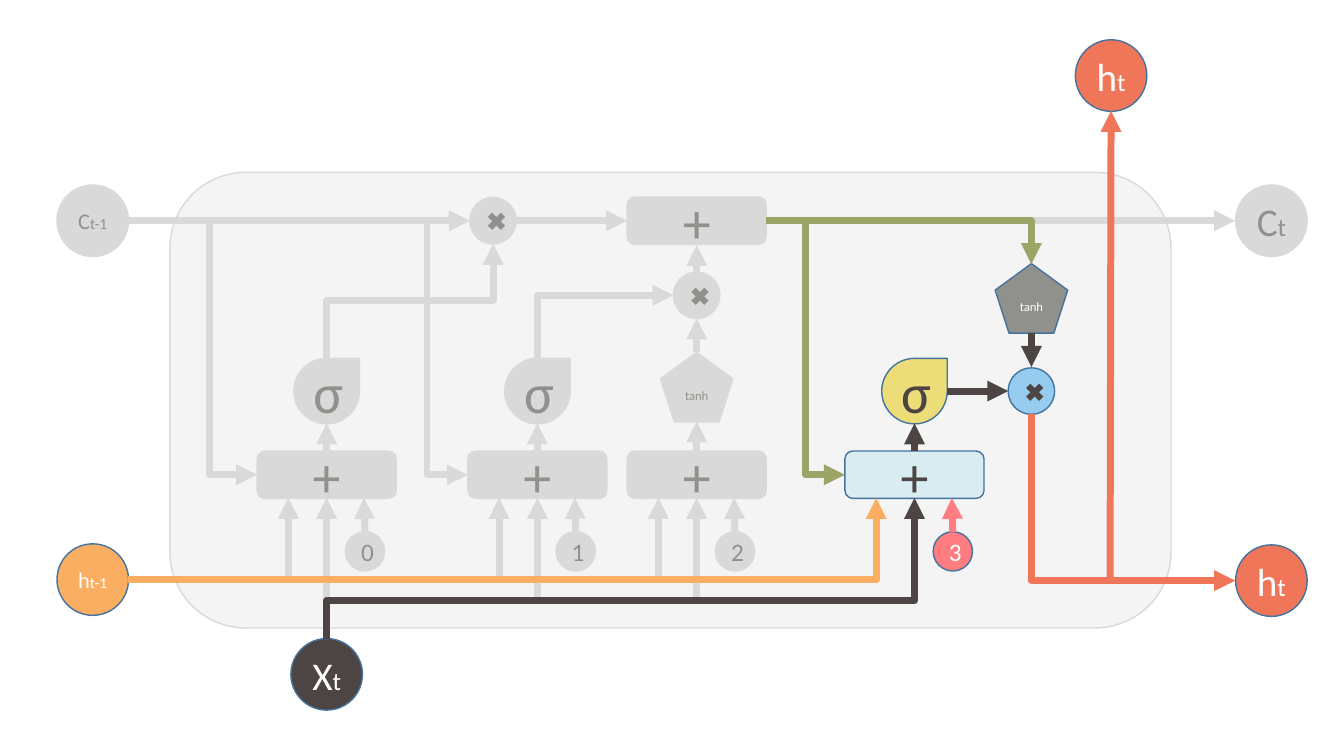
from pptx import Presentation
from pptx.dml.color import RGBColor
from pptx.enum.shapes import MSO_CONNECTOR, MSO_SHAPE
from pptx.enum.text import MSO_ANCHOR, PP_ALIGN
from pptx.oxml.ns import qn
from pptx.util import Inches, Pt
from lxml import etree

CIRCLE = MSO_SHAPE.OVAL
BOX = MSO_SHAPE.ROUNDED_RECTANGLE
TEAR = MSO_SHAPE.TEAR
PENTAGON = MSO_SHAPE.REGULAR_PENTAGON
STRAIGHT = MSO_CONNECTOR.STRAIGHT
ELBOW = MSO_CONNECTOR.ELBOW
CENTER = PP_ALIGN.CENTER
MIDDLE = MSO_ANCHOR.MIDDLE

FONT = "Calibri"
GRAY, GRAY_TEXT, BLUE_EDGE, WHITE = "D9D9D9", "90918C", "43739E", "FFFFFF"
DARK, ORANGE, RED, GREEN, PINK = "4D4543", "F9AE62", "F07659", "9BA568", "FF7C80"

# Grid of the cell, in inches: column centres, row centres and element sizes
FORGET, INPUT, CANDIDATE, OUTPUT = GATES = (3.24, 5.33, 6.91, 9.07)
LEFT, RESULT, TOP_OUT, RIGHT = 0.92, 10.23, 11.02, 12.61
STATE, MERGE, ACTIVATION, GATE_ROW, BIAS, HIDDEN, X_ROW = (
    2.19, 2.93, 3.88, 4.71, 5.47, 5.75, 6.69)
STATE_SIZE, OPERATOR_SIZE, BIAS_SIZE = (0.71, 0.71), (0.46, 0.46), (0.39, 0.39)
GATE_SIZE, TEAR_SIZE, TANH_SIZE = (1.38, 0.47), (0.65, 0.65), (0.72, 0.69)
GATE_TOP, GATE_BOTTOM = 4.47, 4.94
STATE_RIGHT, X_TOP, OUT_LEFT = 1.27, 6.34, 12.25
SIDE = 0.38  # distance of the hidden and bias inputs from a gate's centre


def color(hex_text):
    """Turn a hex string into a colour."""
    return RGBColor.from_string(hex_text)


def node(page, kind, center, size, fill, edge, spans=(), text_color=WHITE):
    """Add a shape around its centre; spans are (text, points) pairs."""
    (x, y), (width, height) = center, size
    shape = page.shapes.add_shape(kind, Inches(x - width / 2), Inches(y - height / 2),
                                  Inches(width), Inches(height))
    shape.shadow.inherit = False
    shape.fill.solid()
    shape.fill.fore_color.rgb = color(fill)
    shape.line.color.rgb = color(edge)
    shape.line.width = Pt(1)
    shape.text_frame.vertical_anchor = MIDDLE
    para = shape.text_frame.paragraphs[0]
    para.alignment = CENTER
    for text, points in spans:
        span = para.add_run()
        span.text = text
        span.font.size = Pt(points)
        span.font.name = FONT
        span.font.color.rgb = color(text_color)


def gray_node(page, kind, center, size, spans):
    """Add a node of the inactive part."""
    node(page, kind, center, size, GRAY, GRAY, spans, GRAY_TEXT)


def add_arrow(page, kind, start, end, line_color):
    """Add a thick connector with a triangle at its end."""
    points = [Inches(value) for value in (*start, *end)]
    connector = page.shapes.add_connector(kind, *points)
    connector.line.color.rgb = color(line_color)
    connector.line.width = Pt(5)
    properties = connector._element.spPr
    etree.SubElement(properties.find(qn("a:ln")), qn("a:tailEnd"), type="triangle")
    etree.SubElement(properties, qn("a:effectLst"))
    return properties


def arrow(page, start, end, line_color=GRAY):
    """Add a straight arrow."""
    add_arrow(page, STRAIGHT, start, end, line_color)


def elbow(page, start, end, line_color=GRAY, bend=None, upright=False):
    """Add an elbow arrow with one corner, or two at the share bend.

    An upright one leaves vertically: its box is laid flat, then turned by 90 degrees.
    """
    if upright:
        middle_x, middle_y = (start[0] + end[0]) / 2, (start[1] + end[1]) / 2
        half_x, half_y = (end[0] - start[0]) / 2, (end[1] - start[1]) / 2
        start = (middle_x - half_y, middle_y + half_x)
        end = (middle_x + half_y, middle_y - half_x)
    properties = add_arrow(page, ELBOW, start, end, line_color)
    if upright:
        properties.find(qn("a:xfrm")).set("rot", str(90 * 60000))
    geometry = properties.find(qn("a:prstGeom"))
    if bend is None:
        geometry.set("prst", "bentConnector2")
    else:
        etree.SubElement(geometry.find(qn("a:avLst")), qn("a:gd"),
                         name="adj1", fmla=f"val {round(bend * 100000)}")


def add_gates(page):
    """Add the four gates with their biases and activations."""
    plus, sigma, tanh = [("+", 40)], [("σ", 40)], [("tanh", 9)]
    for number, x in enumerate(GATES):
        gate, bias = (x, GATE_ROW), (x + SIDE, BIAS)
        label = [(str(number), 18)]
        if x == OUTPUT:
            node(page, BOX, gate, GATE_SIZE, "D9ECF2", BLUE_EDGE, plus, DARK)
            node(page, CIRCLE, bias, BIAS_SIZE, PINK, BLUE_EDGE, label)
        else:
            gray_node(page, BOX, gate, GATE_SIZE, plus)
            gray_node(page, CIRCLE, bias, BIAS_SIZE, label)
    for x in (FORGET, INPUT):
        gray_node(page, TEAR, (x, ACTIVATION), TEAR_SIZE, sigma)
    node(page, TEAR, (OUTPUT, ACTIVATION), TEAR_SIZE, "EDDD78", BLUE_EDGE, sigma, DARK)
    gray_node(page, PENTAGON, (CANDIDATE, 3.84), TANH_SIZE, tanh)
    node(page, PENTAGON, (RESULT, 2.96), TANH_SIZE, GRAY_TEXT, BLUE_EDGE, tanh)


def add_states(page):
    """Add the inputs, the outputs and the operators on the state lines."""
    for center, letter in (((RIGHT, HIDDEN + 0.01), "h"), ((TOP_OUT, 0.75), "h")):
        node(page, CIRCLE, center, STATE_SIZE, RED, BLUE_EDGE, [(letter, 28), ("t", 18)])
    node(page, CIRCLE, (FORGET, X_ROW), STATE_SIZE, DARK, BLUE_EDGE, [("X", 28), ("t", 18)])
    node(page, CIRCLE, (LEFT, HIDDEN), STATE_SIZE, ORANGE, BLUE_EDGE,
         [("h", 16), ("t-1", 11)])
    gray_node(page, CIRCLE, (LEFT, STATE), STATE_SIZE, [("C", 16), ("t-1", 11)])
    gray_node(page, CIRCLE, (RIGHT, STATE), STATE_SIZE, [("C", 28), ("t", 18)])
    times = [("✖", 18)]
    gray_node(page, CIRCLE, (4.89, STATE), OPERATOR_SIZE, times)
    gray_node(page, CIRCLE, (CANDIDATE, MERGE), OPERATOR_SIZE, times)
    gray_node(page, BOX, (CANDIDATE, STATE), GATE_SIZE, [("+", 40)])
    node(page, CIRCLE, (RESULT, ACTIVATION), OPERATOR_SIZE, "97CCF1", BLUE_EDGE, times, DARK)


def add_gate_arrows(page):
    """Connect X, the biases and the hidden state to every gate."""
    arrow(page, (FORGET, X_TOP), (FORGET, GATE_BOTTOM))
    for x in GATES[1:]:
        elbow(page, (FORGET, X_TOP), (x, GATE_BOTTOM),
              DARK if x == OUTPUT else GRAY, bend=0.27, upright=True)
    for x in GATES:
        last = x == OUTPUT
        arrow(page, (x + SIDE, 5.28), (x + SIDE - 0.01, GATE_BOTTOM), PINK if last else GRAY)
        elbow(page, (STATE_RIGHT, HIDDEN), (x - SIDE, GATE_BOTTOM), ORANGE if last else GRAY)
        tip = 4.18 if x == CANDIDATE else 4.2
        arrow(page, (x, GATE_TOP), (x, tip), DARK if last else GRAY)


def add_state_arrows(page):
    """Connect the cell state, the operators and the outputs."""
    for start, end in ((STATE_RIGHT, 4.66), (5.12, 6.22), (8.17, OUT_LEFT)):
        arrow(page, (start, STATE), (end, STATE))
    for start, end in ((3.49, 3.16), (2.7, 2.43)):
        arrow(page, (CANDIDATE, start), (CANDIDATE, end))
    elbow(page, (INPUT, 3.55), (6.68, MERGE), upright=True)
    elbow(page, (FORGET, 3.55), (4.89, 2.42), bend=0.5, upright=True)
    elbow(page, (STATE_RIGHT, STATE), (2.55, GATE_ROW), bend=0.63)
    elbow(page, (STATE_RIGHT, STATE), (4.64, GATE_ROW), bend=0.88)
    elbow(page, (7.6, STATE), (RESULT, 2.62), GREEN)
    elbow(page, (7.6, STATE), (8.38, GATE_ROW), GREEN, bend=0.5)
    arrow(page, (RESULT, 3.3), (RESULT, 3.64), DARK)
    arrow(page, (9.39, ACTIVATION), (10, ACTIVATION), DARK)
    elbow(page, (RESULT, 4.11), (OUT_LEFT, HIDDEN + 0.01), RED, upright=True)
    arrow(page, (TOP_OUT - 0.01, HIDDEN), (TOP_OUT, 1.1), RED)


def main():
    """Build the slide of the output gate and save it."""
    deck = Presentation()
    deck.slide_width, deck.slide_height = Inches(13.33), Inches(7.5)
    page = deck.slides.add_slide(deck.slide_layouts[6])
    node(page, BOX, (6.65, 3.97), (9.93, 4.52), "F4F4F4", GRAY)
    add_gates(page)
    add_states(page)
    add_gate_arrows(page)
    add_state_arrows(page)
    deck.save("out.pptx")


main()
